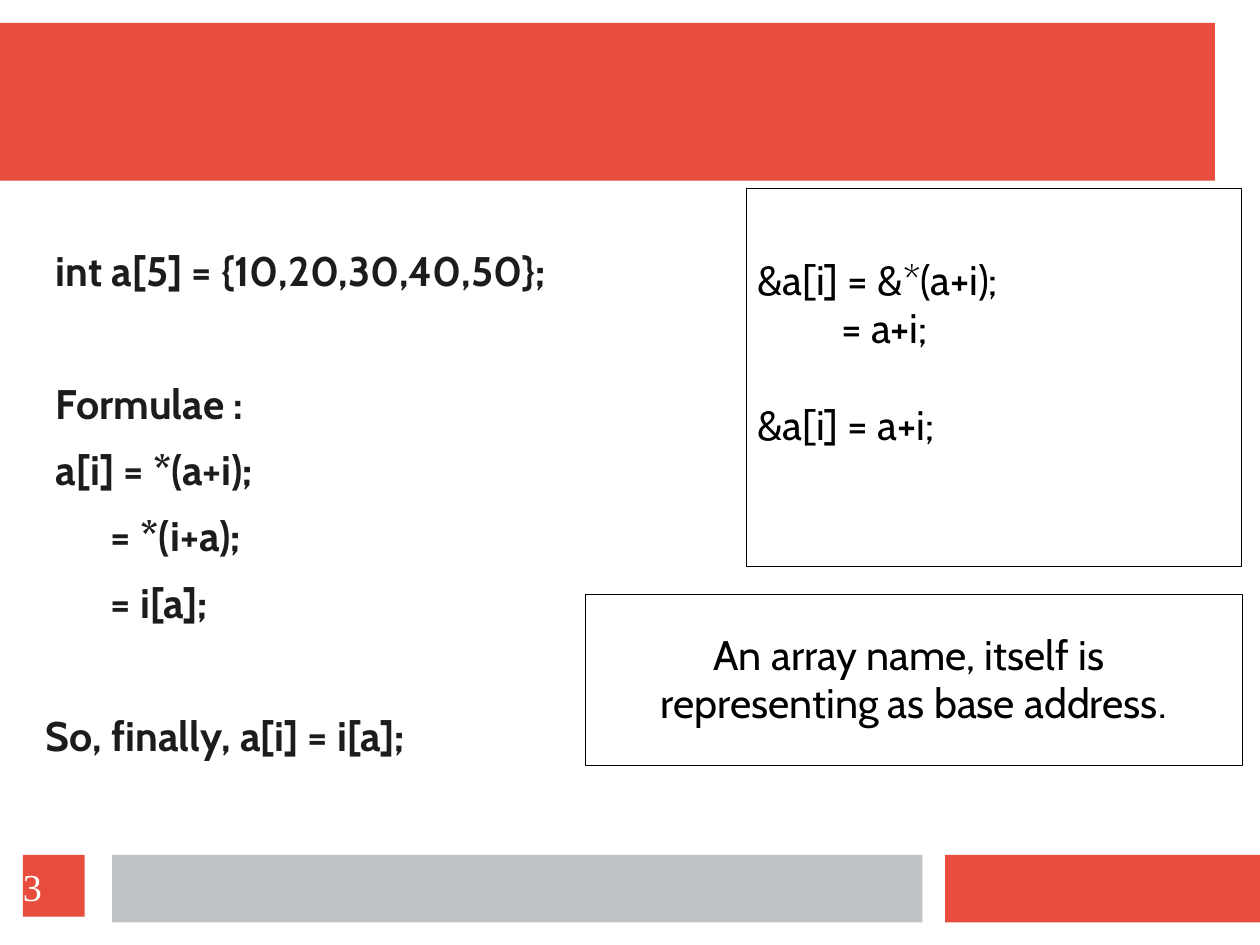
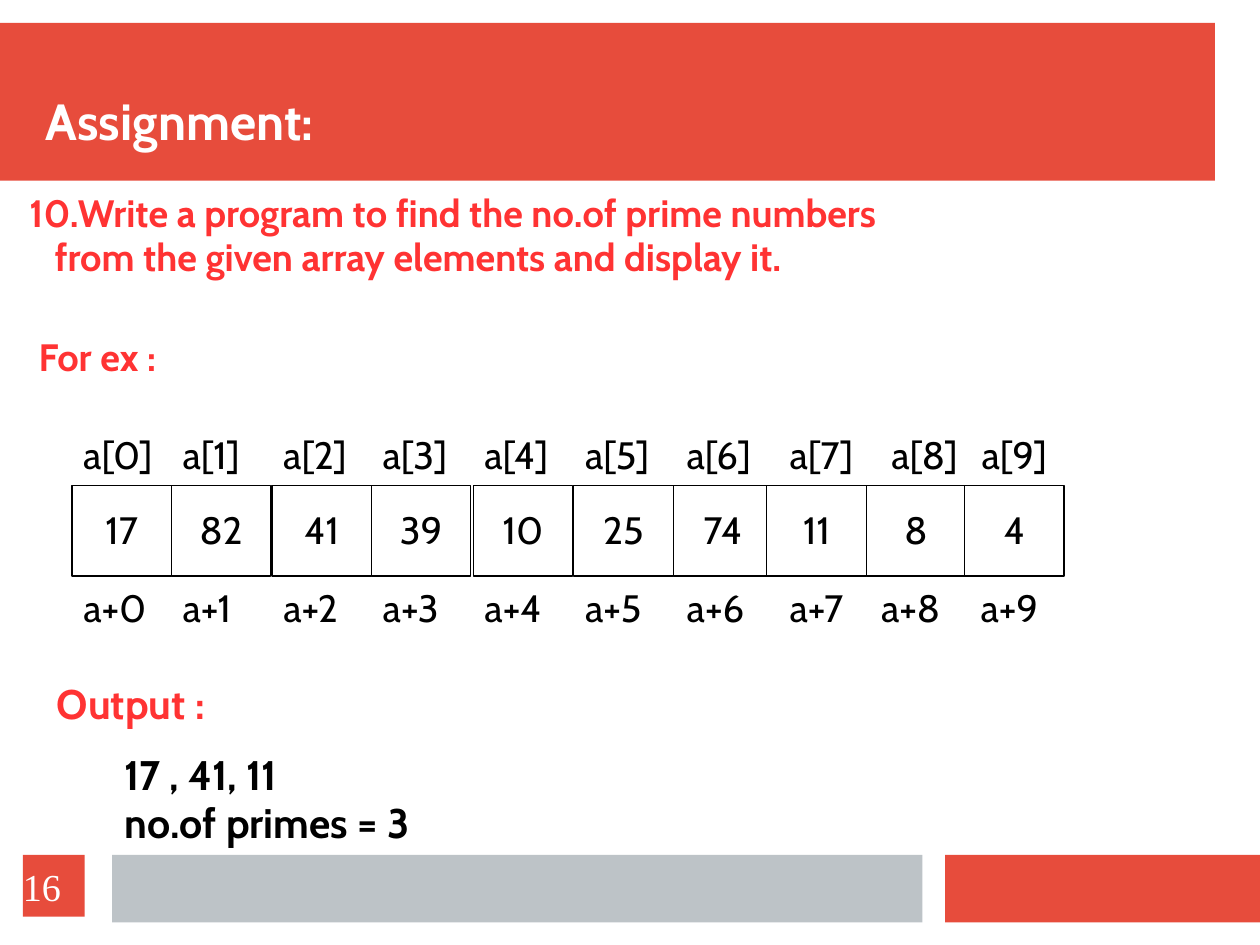
from dataclasses import dataclass
from typing import Optional

from pptx import Presentation
from pptx.dml.color import RGBColor
from pptx.enum.shapes import MSO_SHAPE as Preset
from pptx.enum.text import MSO_ANCHOR as Anchor, PP_ALIGN as Align
from pptx.util import Inches, Pt

RED = RGBColor(0xE7, 0x4C, 0x3C)
GRAY = RGBColor(0xBD, 0xC3, 0xC7)
WHITE = RGBColor(0xFF, 0xFF, 0xFF)
BLACK = RGBColor(0x00, 0x00, 0x00)
INK = RGBColor(0x1C, 0x1C, 0x1C)
ACCENT = RGBColor(0xFF, 0x33, 0x33)

CM_PER_INCH = 2.54
PAGE_WIDTH = 28 / CM_PER_INCH
PAGE_HEIGHT = 21 / CM_PER_INCH

BLANK_LINE = 30.5
PADDING = (0.1, 0.05, 0.1, 0.05)
NO_PADDING = (0, 0, 0, 0)
INSET_NAMES = ("margin_left", "margin_top", "margin_right", "margin_bottom")


@dataclass(frozen=True)
class Area:
    left: float
    top: float
    width: float
    height: float

    def lengths(self) -> list:
        return [Inches(n) for n in (self.left, self.top, self.width, self.height)]


@dataclass(frozen=True)
class Style:
    size: float = 24
    color: RGBColor = BLACK
    bold: bool = False
    font: str = "Cabin"
    align: Align = Align.LEFT
    anchor: Anchor = Anchor.TOP
    insets: tuple = PADDING
    spacing: float = 0.97
    after: float = 0


@dataclass(frozen=True)
class Line:
    text: str
    indent: float = 0
    before: float = 0


@dataclass(frozen=True)
class ArrayCell:
    value: str
    left: float
    index_left: float
    address_left: float


TITLE = Style(32, WHITE, True, anchor=Anchor.BOTTOM, insets=NO_PADDING)
BODY = Style(26, INK, True, insets=(0, 0.01, 0, 0), after=11.5)
FORMULA = Style(26, anchor=Anchor.MIDDLE, insets=(0.1, 0.05, 0.1, 0.47))
REMARK = Style(26, align=Align.CENTER, anchor=Anchor.MIDDLE)
QUESTION = Style(color=ACCENT, bold=True)
OUTPUT_HEADING = Style(26, ACCENT, True)
OUTPUT = Style(26, bold=True)
LABEL = Style()
VALUE = Style(align=Align.CENTER, anchor=Anchor.MIDDLE)
PAGE_NUMBER = Style(24, WHITE, font="Times New Roman", anchor=Anchor.MIDDLE,
                    insets=NO_PADDING, spacing=1.0)

BANDS = (
    (Area(0, 0.2, 10.63, 1.38), RED),
    (Area(8.27, 7.48, 2.76, 0.59), RED),
    (Area(0.98, 7.48, 7.09, 0.59), GRAY),
)

ARRAY_CELLS = (
    ArrayCell("17", 0.63, 0.63, 0.63),
    ArrayCell("82", 1.5, 1.5, 1.5),
    ArrayCell("41", 2.38, 2.38, 2.38),
    ArrayCell("39", 3.25, 3.25, 3.25),
    ArrayCell("10", 4.14, 4.14, 4.14),
    ArrayCell("25", 5.02, 5.02, 5.02),
    ArrayCell("74", 5.89, 5.91, 5.91),
    ArrayCell("11", 6.71, 6.81, 6.81),
    ArrayCell("8", 7.58, 7.7, 7.61),
    ArrayCell("4", 8.44, 8.49, 8.48),
)


def write_lines(box, lines: list[Line], style: Style) -> None:
    frame = box.text_frame
    frame.word_wrap = True
    frame.vertical_anchor = style.anchor
    for name, inset in zip(INSET_NAMES, style.insets):
        setattr(frame, name, Inches(inset))
    for number, line in enumerate(lines):
        para = frame.add_paragraph() if number else frame.paragraphs[0]
        para_format = {
            "alignment": style.align,
            "line_spacing": style.spacing,
            "space_before": Pt(line.before),
            "space_after": Pt(style.after),
        }
        for name, value in para_format.items():
            setattr(para, name, value)
        if line.indent:
            para._p.get_or_add_pPr().set("marL", str(Inches(line.indent)))
        span = para.add_run()
        span.text = line.text
        font_format = {"name": style.font, "size": Pt(style.size), "bold": style.bold}
        for name, value in font_format.items():
            setattr(span.font, name, value)
        span.font.color.rgb = style.color


def add_text(page, area: Area, lines: list[Line], style: Style) -> None:
    write_lines(page.shapes.add_textbox(*area.lengths()), lines, style)


def add_panel(page, area: Area, fill: RGBColor, outline: Optional[RGBColor] = None):
    panel = page.shapes.add_shape(Preset.RECTANGLE, *area.lengths())
    panel.shadow.inherit = False
    panel.fill.solid()
    panel.fill.fore_color.rgb = fill
    if outline is None:
        panel.line.fill.background()
    else:
        panel.line.color.rgb = outline
        panel.line.width = Pt(0.75)
    return panel


def add_framed_text(page, area: Area, lines: list[Line], style: Style) -> None:
    write_lines(add_panel(page, area, WHITE, BLACK), lines, style)


def add_page(deck, number: int, title: str = ""):
    page = deck.slides.add_slide(deck.slide_layouts[6])
    for area, color in BANDS:
        add_panel(page, area, color)
    if title:
        add_text(page, Area(0.4, 0.39, 10.19, 0.94), [Line(title)], TITLE)
    badge = add_panel(page, Area(0.2, 7.48, 0.54, 0.54), RED)
    write_lines(badge, [Line(str(number))], PAGE_NUMBER)
    return page


def build_formulae(deck) -> None:
    page = add_page(deck, 3)
    add_text(page, Area(0.4, 2.16, 10, 5.08), [
        Line("int a[5] = {10,20,30,40,50};", 0.09),
        Line("Formulae :", 0.09, BLANK_LINE + BODY.after),
        Line("a[i] = *(a+i);", 0.09),
        Line("= *(i+a);", 0.57),
        Line("= i[a];", 0.57),
        Line("So, finally, a[i] = i[a];", 0, BLANK_LINE + BODY.after),
    ], BODY)
    add_framed_text(page, Area(6.53, 1.65, 4.33, 3.31), [
        Line("&a[i] = &*(a+i);"),
        Line("= a+i;", 0.73),
        Line("&a[i] = a+i;", 0, BLANK_LINE),
    ], FORMULA)
    add_framed_text(page, Area(5.12, 5.2, 5.75, 1.5), [
        Line("An array name, itself is "),
        Line("representing as base address."),
    ], REMARK)


def build_assignment(deck) -> None:
    page = add_page(deck, 16, "Assignment:")
    add_text(page, Area(0.16, 1.63, 9.56, 0.89), [
        Line("10.Write a program to find the no.of prime numbers"),
        Line("from the given array elements and display it.", 0.22),
    ], QUESTION)
    add_text(page, Area(0.24, 2.89, 1.73, 0.5), [Line("For ex :")], QUESTION)
    for index, cell in enumerate(ARRAY_CELLS):
        add_framed_text(page, Area(cell.left, 4.25, 0.87, 0.79), [Line(cell.value)], VALUE)
        add_text(page, Area(cell.index_left, 3.75, 0.87, 0.5), [Line(f"a[{index}]")], LABEL)
        add_text(page, Area(cell.address_left, 5.09, 0.89, 0.5), [Line(f"a+{index}")], LABEL)
    add_text(page, Area(0.99, 6.53, 3.58, 0.95), [
        Line("17 , 41, 11"),
        Line("no.of primes = 3"),
    ], OUTPUT)
    add_text(page, Area(0.4, 5.91, 2.02, 0.53), [Line("Output :")], OUTPUT_HEADING)


def main() -> None:
    deck = Presentation()
    deck.slide_width = Inches(PAGE_WIDTH)
    deck.slide_height = Inches(PAGE_HEIGHT)
    build_formulae(deck)
    build_assignment(deck)
    deck.save("out.pptx")


if __name__ == "__main__":
    main()
